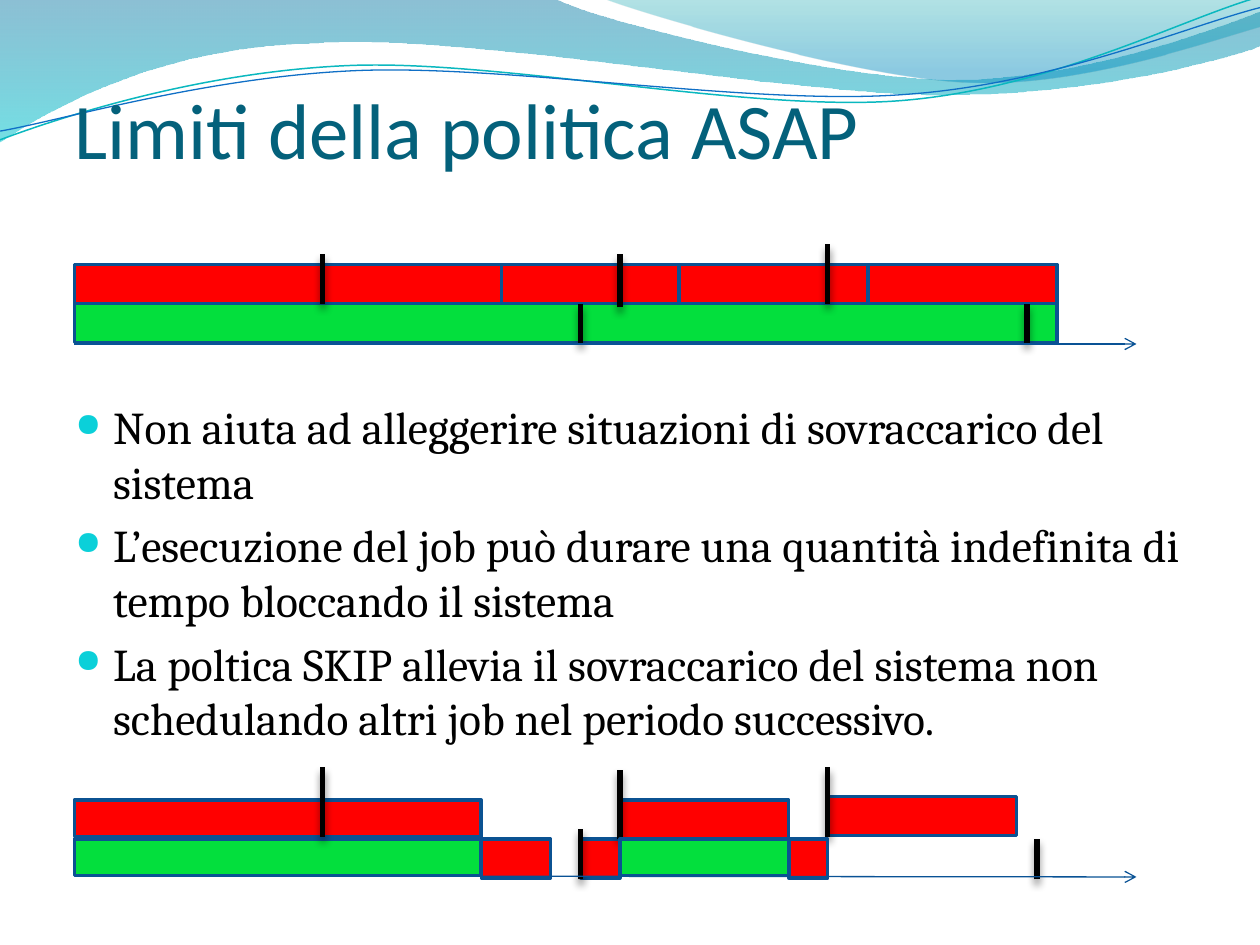
from math import cos, radians, sin

from lxml.etree import SubElement
from pptx import Presentation
from pptx.dml.color import RGBColor
from pptx.enum.shapes import MSO_CONNECTOR, MSO_SHAPE
from pptx.enum.text import MSO_ANCHOR
from pptx.oxml.ns import qn
from pptx.util import Pt

PX = 9144  # 100 px to the inch
TILT = -2.7  # slope of the two threads, in degrees

HEX = {
    "title": "04617B", "text": "000000", "bullet": "0BD0D9",
    "red": "FF0000", "green": "03DF3D", "edge": "0B5292",
    "axis": "095295", "tick": "000000", "teal": "0AB8BF", "blue": "0F6FC6",
    "deep": "0074A1", "aqua": "00C6CF", "sea": "00A1A9", "sky": "008BBF",
}

# Outlines: a pair is a straight step, six numbers are a Bézier curve
BAND = [(0, 0), (440, -1), (476, 17, 664, 63, 758, 63),
        (853, 63, 958, 26, 1000, 9), (1001, 36),
        (983, 44, 870, 76, 746, 75), (622, 75, 382, 28, 257, 34),
        (129, 36, 46, 83, -1, 113)]
WING = [(479, -1), (509, 11, 682, 62, 769, 65),
        (856, 69, 961, 32, 1000, 21), (1000, 0)]
UPPER = [(0, 111), (48, 93, 158, 57, 277, 52), (395, 47, 593, 89, 713, 80),
         (833, 71, 938, 15, 998, -2)]
LOWER = [(0, 104), (47, 96, 164, 61, 283, 56), (403, 51, 597, 84, 717, 75),
         (836, 67, 941, 21, 1000, 6)]

POINTS = [
    "Non aiuta ad alleggerire situazioni di sovraccarico del sistema",
    "L’esecuzione del job può durare una quantità indefinita di tempo "
    "bloccando il sistema",
    "La poltica SKIP allevia il sovraccarico del sistema non schedulando "
    "altri job nel periodo successivo.",
]

# Bars: left, top, width, height, colour
ASAP_BARS = [(59, 241, 780, 31, "green")] + [
    (x, 210, w, 31, "red")
    for x, w in ((59, 339), (398, 150), (539, 150), (689, 150))]
SKIP_BACK = [(461, 666, 31, 31, "red"), (59, 666, 323, 29, "green"),
             (59, 635, 323, 29, "red"), (492, 635, 134, 31, "red"),
             (657, 632, 150, 31, "red")]
SKIP_FRONT = [(382, 666, 55, 31, "red"), (492, 666, 134, 29, "green"),
              (626, 666, 31, 31, "red")]

# Ticks: x, bottom, top
ASAP_TICKS = [(256, 241, 202), (461, 273, 241), (815, 273, 241),
              (492, 244, 202), (657, 241, 194)]
SKIP_TICKS = [(256, 664, 609), (461, 698, 658), (823, 698, 666),
              (492, 666, 611), (657, 664, 609)]


def rgb(name):
    return RGBColor.from_string(HEX[name])


def px(*nums):
    return [round(n * PX) for n in nums]


def stroke(line, color, width):
    line.color.rgb = rgb(color)
    line.width = Pt(width)


def curve(slide, steps, closed):
    """Draw an outline, then join each curve's three points as one Bézier."""
    dots = [tuple(px(*step[i:i + 2]))
            for step in steps for i in range(0, len(step), 2)]
    pen = slide.shapes.build_freeform(*dots[0])
    pen.add_line_segments(dots[1:], close=closed)
    shape = pen.convert_to_shape()
    shape.shadow.inherit = False
    legs = iter(list(shape.element.spPr.iter(qn("a:lnTo"))))
    for step in steps[1:]:
        leg = next(legs)
        if len(step) == 6:
            leg.tag = qn("a:cubicBezTo")
            for other in (next(legs), next(legs)):
                leg.append(other[0])
                other.getparent().remove(other)
    return shape


def wave(slide, steps, *stops):
    """Closed outline with a see-through fade from top to bottom."""
    shape = curve(slide, steps, True)
    shape.line.fill.background()
    shape.fill.gradient()
    shape.fill.gradient_angle = 270
    for stop, (spot, color, alpha) in zip(shape.fill.gradient_stops, stops):
        stop.position = spot
        stop.color.rgb = rgb(color)
    tones = shape.element.spPr.iter(qn("a:srgbClr"))
    for tone, (spot, color, alpha) in zip(tones, stops):
        SubElement(tone, qn("a:alpha"), val=str(alpha * 1000))


def level(step, mid):
    """Turn the points of a step back by the tilt about mid."""
    c, s = cos(radians(-TILT)), sin(radians(-TILT))
    flat = []
    for x, y in zip(step[::2], step[1::2]):
        dx, dy = x - mid[0], y - mid[1]
        flat += [mid[0] + c * dx - s * dy, mid[1] + s * dx + c * dy]
    return flat


def thread(slide, steps, mid, color, width):
    shape = curve(slide, [level(step, mid) for step in steps], False)
    shape.rotation = TILT
    shape.fill.background()
    stroke(shape.line, color, width)


def bar(slide, x, y, w, h, color):
    shape = slide.shapes.add_shape(MSO_SHAPE.RECTANGLE, *px(x, y, w, h))
    shape.shadow.inherit = False
    shape.fill.solid()
    shape.fill.fore_color.rgb = rgb(color)
    stroke(shape.line, "edge", 2)


def link(slide, ends, color, width):
    """Draw a line; give back its properties and empty effect list."""
    line = slide.shapes.add_connector(MSO_CONNECTOR.STRAIGHT, *px(*ends))
    stroke(line.line, color, width)
    props = line.element.spPr
    return props, SubElement(props, qn("a:effectLst"))


def tick(slide, x, low, high):
    props, effects = link(slide, (x, low, x, high), "tick", 3)
    cast = SubElement(effects, qn("a:outerShdw"), blurRad=str(Pt(4.5)),
                      dist=str(Pt(3)), dir="5400000", rotWithShape="0")
    tone = SubElement(cast, qn("a:srgbClr"), val=HEX["tick"])
    SubElement(tone, qn("a:alpha"), val="48000")


def axis(slide, start, end):
    props, effects = link(slide, (59, start, 902, end), "axis", 0.75)
    SubElement(props.find(qn("a:ln")), qn("a:tailEnd"), type="arrow")


def dot(para):
    props = para._p.get_or_add_pPr()
    props.set("marL", str(30 * PX))
    props.set("indent", str(-30 * PX))
    tone = SubElement(props, qn("a:buClr"))
    SubElement(tone, qn("a:srgbClr"), val=HEX["bullet"])
    SubElement(props, qn("a:buSzPct"), val="72000")
    SubElement(props, qn("a:buChar"), char="●")


def write(slide, lines, box, *, font, size, color, inset=(10, 5, 10, 5),
          anchor=MSO_ANCHOR.TOP, bullets=False, gap=0):
    frame = slide.shapes.add_textbox(*px(*box)).text_frame
    frame.word_wrap = True
    frame.vertical_anchor = anchor
    (frame.margin_left, frame.margin_top,
     frame.margin_right, frame.margin_bottom) = px(*inset)
    for i, line in enumerate(lines):
        para = frame.add_paragraph() if i else frame.paragraphs[0]
        if i and gap:
            para.space_before = Pt(gap)
        if bullets:
            dot(para)
        run = para.add_run()
        run.text = line
        run.font.name = font
        run.font.size = Pt(size)
        run.font.color.rgb = rgb(color)


def main():
    deck = Presentation()
    deck.slide_width, deck.slide_height = px(1000, 750)
    slide = deck.slides.add_slide(deck.slide_layouts[6])

    # Waves along the top
    wave(slide, BAND, (0, "deep", 45), (1, "aqua", 55))
    wave(slide, WING, (0, "sea", 30), (0.8, "sky", 45))
    thread(slide, UPPER, (499, 57), "teal", 0.85)
    thread(slide, LOWER, (499, 59), "blue", 0.75)

    # ASAP and SKIP bars that lie at the back
    for item in ASAP_BARS + SKIP_BACK:
        bar(slide, *item)

    # Title and points
    write(slide, ["Limiti della politica ASAP"], (59, 52, 900, 87),
          font="Calibri", size=45, color="title", inset=(0, 5, 0, 0),
          anchor=MSO_ANCHOR.BOTTOM)
    write(slide, POINTS, (50, 312, 900, 283), font="Cambria", size=26,
          color="text", bullets=True, gap=5.2)

    # Ticks, then the bars and axes in front
    for item in ASAP_TICKS + SKIP_TICKS:
        tick(slide, *item)
    for item in SKIP_FRONT:
        bar(slide, *item)
    axis(slide, 273, 273)
    axis(slide, 695, 696)

    deck.save("out.pptx")


if __name__ == "__main__":
    main()
